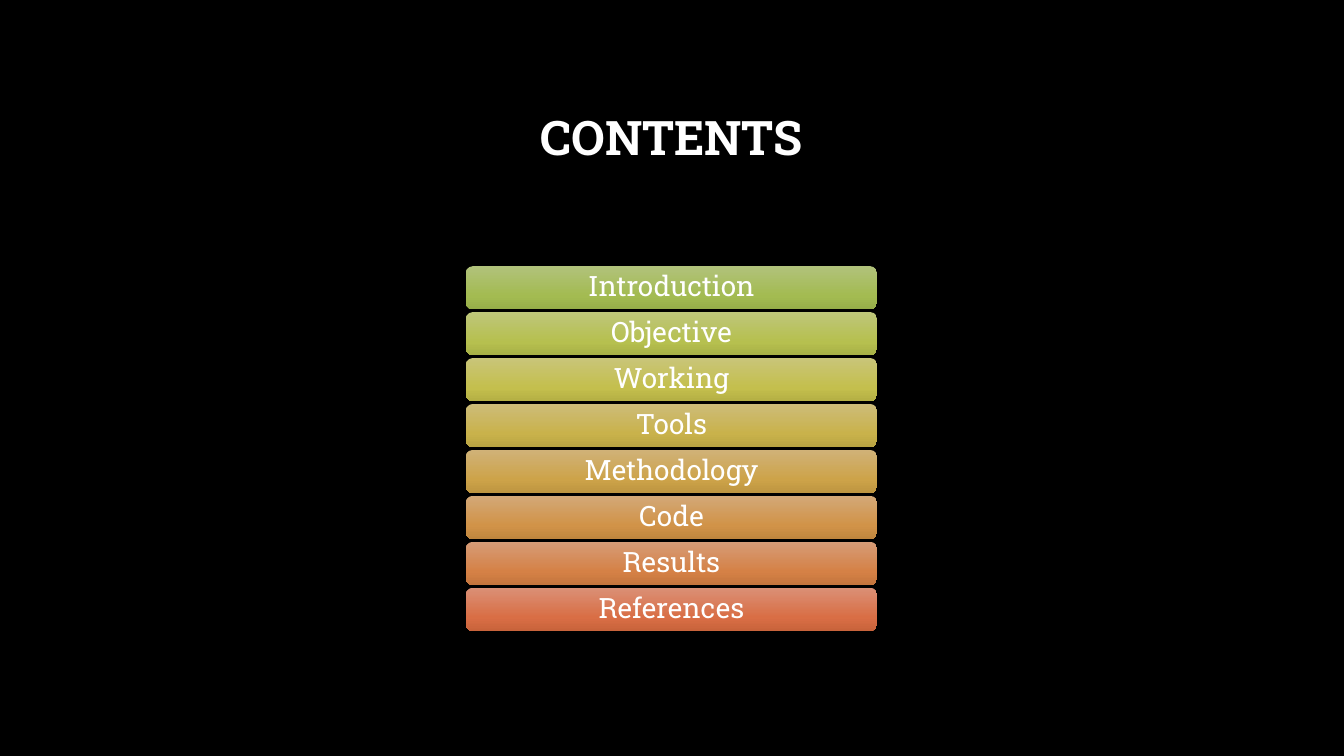
from dataclasses import dataclass

import pptx
import pptx.dml.color
import pptx.enum.shapes
import pptx.enum.text
import pptx.oxml
import pptx.oxml.ns
import pptx.util

WIDTH, HEIGHT = 13.33, 7.5
FONT = "Roboto Slab"
WHITE, BLACK = "FFFFFF", "000000"

# Grid of the list: one column, equal rows
BAR_LEFT, BAR_WIDTH, BAR_HEIGHT = 4.62, 4.08, 0.43
FIRST_TOP, LAST_TOP = 2.64, 5.83
STOPS = (0, 69, 100)  # gradient positions in percent


@dataclass(frozen=True)
class Entry:
    label: str
    shades: tuple[str, str, str]


ENTRIES = [
    Entry("Introduction", ("B1C27B", "A3BB51", "95AC48")),
    Entry("Objective", ("BEC67A", "B6C04F", "A7B046")),
    Entry("Working", ("C9C579", "C4BF4D", "B4AF44")),
    Entry("Tools", ("CDBC79", "C9B24B", "B8A342")),
    Entry("Methodology", ("D0B278", "CDA349", "BD9540")),
    Entry("Code", ("D3A877", "D19348", "C0863E")),
    Entry("Results", ("D69C77", "D58146", "C4753D")),
    Entry("References", ("DA9076", "D96E45", "C8633B")),
]
ROW_PITCH = (LAST_TOP - FIRST_TOP) / (len(ENTRIES) - 1)


def color(value: str) -> pptx.dml.color.RGBColor:
    return pptx.dml.color.RGBColor.from_string(value)


def box(left: float, top: float, width: float, height: float) -> list[int]:
    return [pptx.util.Inches(n) for n in (left, top, width, height)]


def write(s, text: str, size: float, bold: bool = False) -> None:
    """Put one centred line of text in a shape."""
    tf = s.text_frame
    tf.word_wrap = True
    tf.vertical_anchor = pptx.enum.text.MSO_ANCHOR.MIDDLE
    p = tf.paragraphs[0]
    p.alignment = pptx.enum.text.PP_ALIGN.CENTER
    p.line_spacing = 0.9
    r = p.add_run()
    r.text = text
    r.font.name = FONT
    r.font.size = pptx.util.Pt(size)
    r.font.bold = bold
    r.font.color.rgb = color(WHITE)


def shade(s, shades: tuple[str, str, str]) -> None:
    """Fill a shape with a gradient from top to bottom."""
    stops = "".join(
        f'<a:gs pos="{pos * 1000}"><a:srgbClr val="{value}"/></a:gs>'
        for pos, value in zip(STOPS, shades)
    )
    s.fill.gradient()
    s.fill.gradient_angle = 270  # counter-clockwise, so downwards
    old = s._element.spPr.find(".//" + pptx.oxml.ns.qn("a:gsLst"))
    new = pptx.oxml.parse_xml(
        f'<a:gsLst {pptx.oxml.ns.nsdecls("a")}>{stops}</a:gsLst>')
    old.getparent().replace(old, new)


def add_bar(slide, row: int, entry: Entry) -> None:
    s = slide.shapes.add_shape(
        pptx.enum.shapes.MSO_SHAPE.ROUNDED_RECTANGLE,
        *box(BAR_LEFT, FIRST_TOP + row * ROW_PITCH, BAR_WIDTH, BAR_HEIGHT))
    s.shadow.inherit = False
    s.line.fill.background()
    shade(s, entry.shades)
    tf = s.text_frame
    tf.margin_left = tf.margin_right = pptx.util.Inches(0.1)
    tf.margin_top = tf.margin_bottom = pptx.util.Inches(0.04)
    write(s, entry.label, 20)


def main() -> None:
    prs = pptx.Presentation()
    prs.slide_width = pptx.util.Inches(WIDTH)
    prs.slide_height = pptx.util.Inches(HEIGHT)
    slide = prs.slides.add_slide(prs.slide_layouts[6])

    # Background
    slide.background.fill.solid()
    slide.background.fill.fore_color.rgb = color(BLACK)

    # Title
    title = slide.shapes.add_textbox(*box(1, 0.66, 11.32, 1.45))
    write(title, "CONTENTS", 34, bold=True)

    # List of contents
    for row, entry in enumerate(ENTRIES):
        add_bar(slide, row, entry)

    prs.save("out.pptx")


if __name__ == "__main__":
    main()
